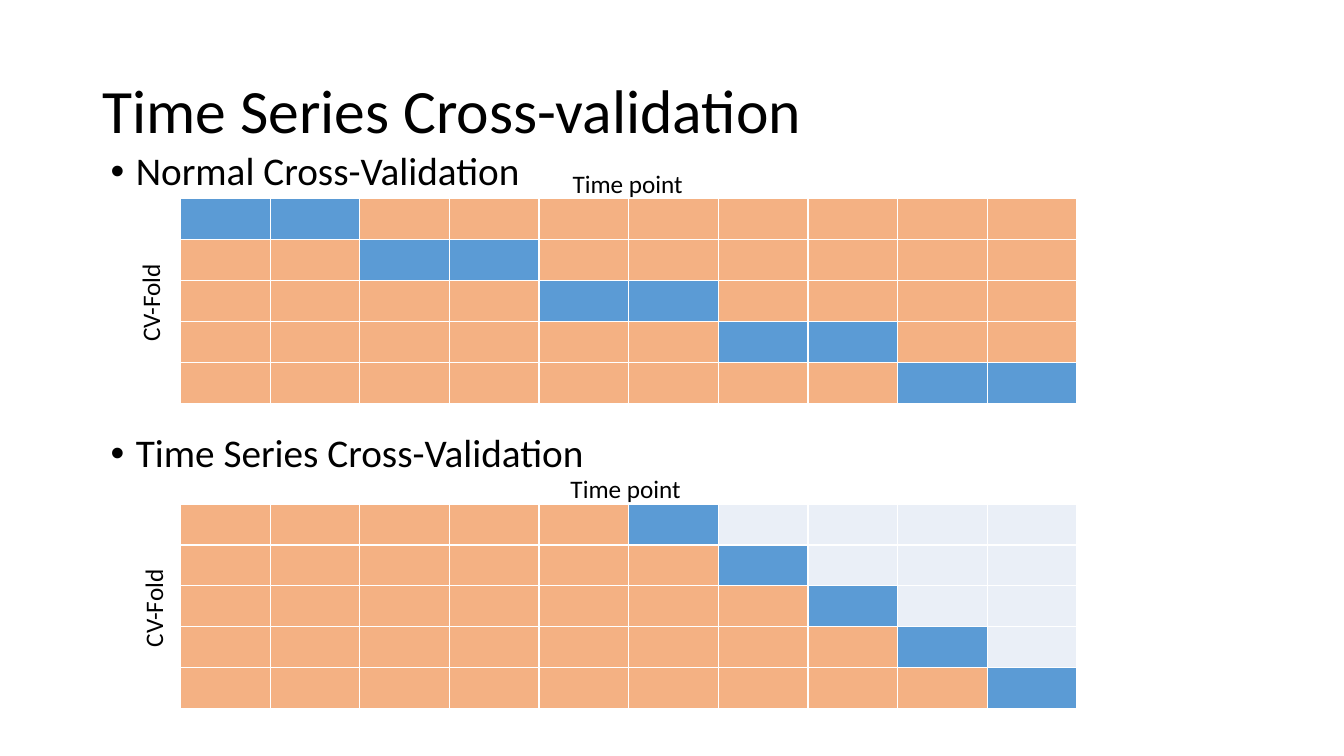
import pptx
import pptx.dml.color
import pptx.enum.text
import pptx.oxml
import pptx.oxml.ns
import pptx.util

Inches = pptx.util.Inches
Pt = pptx.util.Pt
Color = pptx.dml.color.RGBColor
Anchor = pptx.enum.text.MSO_ANCHOR

BLACK = Color(0x00, 0x00, 0x00)
WHITE = Color(0xFF, 0xFF, 0xFF)
TRAIN = Color(0xF4, 0xB1, 0x83)
TEST = Color(0x5B, 0x9B, 0xD5)
UNUSED = Color(0xEA, 0xEF, 0xF7)
ROWS, COLS = 5, 10


def add_text(slide, box, lines, size, frame_look=None, line_look=None):
    """Write lines of text in a box and return its text frame."""
    frame = slide.shapes.add_textbox(*map(Inches, box)).text_frame
    for name, value in {"word_wrap": True, **(frame_look or {})}.items():
        setattr(frame, name, value)
    for index, text in enumerate(lines):
        line = frame.add_paragraph() if index else frame.paragraphs[0]
        for name, value in (line_look or {}).items():
            setattr(line, name, value)
        run = line.add_run()
        run.text = text
        for name, value in {"name": "Calibri", "size": Pt(size)}.items():
            setattr(run.font, name, value)
        run.font.color.rgb = BLACK
    return frame


def add_title(slide, box, text):
    """Write the slide title."""
    add_text(slide, box, [text], 44, {"vertical_anchor": Anchor.MIDDLE},
             {"line_spacing": 0.9})


def add_list(slide, box, lines, gap):
    """Write bulleted headings set apart by a gap in points."""
    frame = add_text(slide, box, lines, 28, None, {"line_spacing": 0.9})
    for line in frame.paragraphs[1:]:
        line.space_before = Pt(gap)
    for line in frame.paragraphs:
        props = line._p.get_or_add_pPr()
        props.set("marL", str(Inches(0.25)))
        props.set("indent", str(Inches(-0.25)))
        for tag, key, value in (("buFont", "typeface", "Arial"),
                                ("buChar", "char", "•")):
            pptx.oxml.ns.qn("a:" + tag)
            props.append(pptx.oxml.parse_xml(
                f'<a:{tag} {pptx.oxml.ns.nsdecls("a")} {key}="{value}"/>'))


def paint_cell(cell, color):
    """Fill a cell and give it thin white borders."""
    props = cell._tc.get_or_add_tcPr()
    for side in "LRTB":
        props.append(pptx.oxml.parse_xml(
            f'<a:ln{side} {pptx.oxml.ns.nsdecls("a")} w="{Pt(1)}"><a:solidFill>'
            f'<a:srgbClr val="{WHITE}"/></a:solidFill></a:ln{side}>'))
    cell.fill.solid()
    cell.fill.fore_color.rgb = color


def add_folds(slide, box, pick, time_left, fold_left):
    """Draw a table of folds with its two axis labels."""
    left, top, width, height = box
    table = slide.shapes.add_table(ROWS, COLS, *map(Inches, box)).table
    for name in ("first_row", "horz_banding"):
        setattr(table, name, False)
    for col in table.columns:
        col.width = Inches(width / COLS)
    for row in table.rows:
        row.height = Inches(height / ROWS)
    for row in range(ROWS):
        for col in range(COLS):
            paint_cell(table.cell(row, col), pick(row, col))
    add_text(slide, (left + time_left, top - 0.35, 1.31, 0.4), ["Time point"],
             18, {"word_wrap": False})
    fold = add_text(slide, (left + fold_left, top + 0.51, 0.5, 1.01),
                    ["CV-Fold"], 18)
    fold._txBody.bodyPr.set("vert", "vert270")


def pick_block(row, col):
    """Choose the colour of a cell when each fold tests two points."""
    return TEST if col // 2 == row else TRAIN


def pick_step(row, col):
    """Choose the colour of a cell when each fold tests the next point."""
    test = row + COLS - ROWS
    if col == test:
        return TEST
    return TRAIN if col < test else UNUSED


def main():
    """Build and save the slide."""
    deck = pptx.Presentation()
    deck.slide_width, deck.slide_height = Inches(13.33), Inches(7.5)
    slide = deck.slides.add_slide(deck.slide_layouts[6])
    add_title(slide, (0.92, 0.4, 11.5, 1.45), "Time Series Cross-validation")
    add_list(slide, (1, 1.46, 11.5, 4.76),
             ["Normal Cross-Validation", "Time Series Cross-Validation"], 171)
    add_folds(slide, (1.79, 1.97, 8.89, 2.03), pick_block, 3.79, -0.5)
    add_folds(slide, (1.79, 5, 8.89, 2.03), pick_step, 3.77, -0.47)
    deck.save("out.pptx")


if __name__ == "__main__":
    main()
